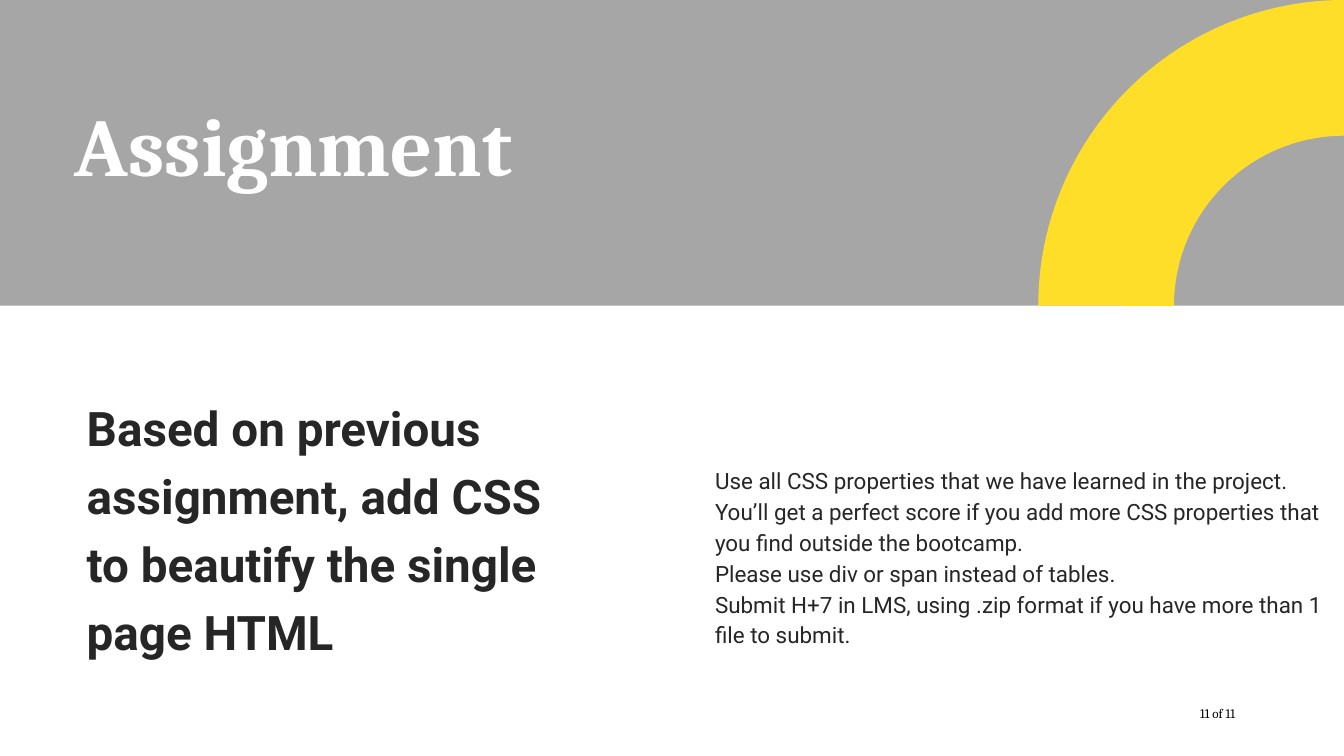
from dataclasses import dataclass
from math import cos, pi, sin

from lxml.etree import SubElement
from pptx import Presentation
from pptx.dml.color import RGBColor
from pptx.enum.shapes import MSO_SHAPE
from pptx.enum.text import MSO_ANCHOR, MSO_AUTO_SIZE, PP_ALIGN
from pptx.oxml.ns import qn
from pptx.util import Inches, Pt


@dataclass(frozen=True)
class Theme:
    """Colours, fonts and type sizes of the slide."""
    band: RGBColor = RGBColor(0xA6, 0xA6, 0xA6)
    accent: RGBColor = RGBColor(0xFF, 0xDE, 0x2A)
    light: RGBColor = RGBColor(0xFF, 0xFF, 0xFF)
    ink: RGBColor = RGBColor(0x26, 0x26, 0x26)
    black: RGBColor = RGBColor(0, 0, 0)
    serif: str = "Cambria"
    sans: str = "Roboto"
    title: int = 88
    lead: int = 51
    body: int = 24
    page: int = 14


@dataclass(frozen=True)
class Box:
    """A region of the slide in inches."""
    left: float
    top: float
    width: float
    height: float


THEME = Theme()
HEADER = Box(0, 0, 20, 4.55)
CONTENT = Box(0, 4.55, 20, 6.7)
TITLE = "Assignment"
LEAD = "Based on previous assignment, add CSS to beautify the single page HTML"
RULES = [
    "Use all CSS properties that we have learned in the project.",
    "You’ll get a perfect score if you add more CSS properties that you find outside the bootcamp.",
    "Please use div or span instead of tables.",
    "Submit H+7 in LMS, using .zip format if you have more than 1 file to submit.",
]
PAGE = "11 of 11"


def inside(region, left, top, width, height):
    """Return a box offset from the corner of a region."""
    return Box(region.left + left, region.top + top, width, height)


def paint(shape, color):
    """Fill a shape with one flat colour."""
    shape.shadow.inherit = False
    shape.fill.solid()
    shape.fill.fore_color.rgb = color
    shape.line.fill.background()


def write(shape, box, lines, size, font, color, bold=False, spacing=1.0, insets=(0, 0, 0, 0)):
    """Place a text shape and format its unbulleted paragraphs."""
    shape.left, shape.top = Inches(box.left), Inches(box.top)
    shape.width, shape.height = Inches(box.width), Inches(box.height)
    frame = shape.text_frame
    frame.text = "\n".join(lines)
    frame.word_wrap = True
    frame.auto_size = MSO_AUTO_SIZE.NONE
    frame.vertical_anchor = MSO_ANCHOR.TOP
    frame.margin_left, frame.margin_top, frame.margin_right, frame.margin_bottom = map(Inches, insets)
    for paragraph in frame.paragraphs:
        paragraph.alignment = PP_ALIGN.LEFT
        paragraph.line_spacing = spacing
        paragraph.space_before = paragraph.space_after = Pt(0)
        properties = paragraph._p.get_or_add_pPr()
        properties.set("marL", "0")
        properties.set("indent", "0")
        SubElement(properties, qn("a:buNone"))
        for run in paragraph.runs:
            run.font.size = Pt(size)
            run.font.name = font
            run.font.bold = bold
            run.font.color.rgb = color


def arc(center_x, center_y, radius, start, end, steps=90):
    """Return points along a circular arc."""
    angles = [start + (end - start) * step / steps for step in range(steps + 1)]
    return [(Inches(center_x + radius * cos(angle)), Inches(center_y - radius * sin(angle)))
            for angle in angles]


def add_header(slide, box):
    """Add the band with its quarter ring and the title."""
    group = slide.shapes.add_group_shape()
    band = group.shapes.add_shape(MSO_SHAPE.RECTANGLE, Inches(box.left), Inches(box.top),
                                  Inches(box.width), Inches(box.height))
    paint(band, THEME.band)
    right, bottom = box.left + box.width, box.top + box.height
    points = (arc(right, bottom, box.height, pi, pi / 2)
              + arc(right, bottom, 2.53, pi / 2, pi))
    builder = group.shapes.build_freeform(*points[0])
    builder.add_line_segments(points[1:], close=True)
    paint(builder.convert_to_shape(), THEME.accent)
    slide.shapes.element.insert(2, group.element)
    write(slide.shapes.title, inside(box, 1.11, 1.4, 9.62, 1.5), [TITLE],
          THEME.title, THEME.serif, THEME.light, bold=True, insets=(0, 0.01, 0, 0))


def add_content(slide, box):
    """Add the task, its rules and the page count."""
    lead, rules = slide.placeholders[1], slide.placeholders[2]
    write(lead, inside(box, 1.29, 1.18, 6.8, 3.97), [LEAD],
          THEME.lead, THEME.sans, THEME.ink, bold=True, spacing=1.19, insets=(0, 0.05, 0, 0))
    write(rules, inside(box, 10.64, 2.33, 9.18, 2.75), RULES,
          THEME.body, THEME.sans, THEME.ink, spacing=1.15, insets=(0, 0.01, 0, 0))
    page = slide.shapes.add_textbox(0, 0, 0, 0)
    write(page, inside(box, 17.76, 5.85, 0.94, 0.44), [PAGE],
          THEME.page, THEME.serif, THEME.black, insets=(0.1, 0.1, 0.1, 0.1))


def main():
    """Build and save the assignment slide."""
    presentation = Presentation()
    presentation.slide_width, presentation.slide_height = Inches(20), Inches(11.25)
    slide = presentation.slides.add_slide(presentation.slide_layouts.get_by_name("Two Content"))
    add_header(slide, HEADER)
    add_content(slide, CONTENT)
    presentation.save("out.pptx")


if __name__ == "__main__":
    main()
